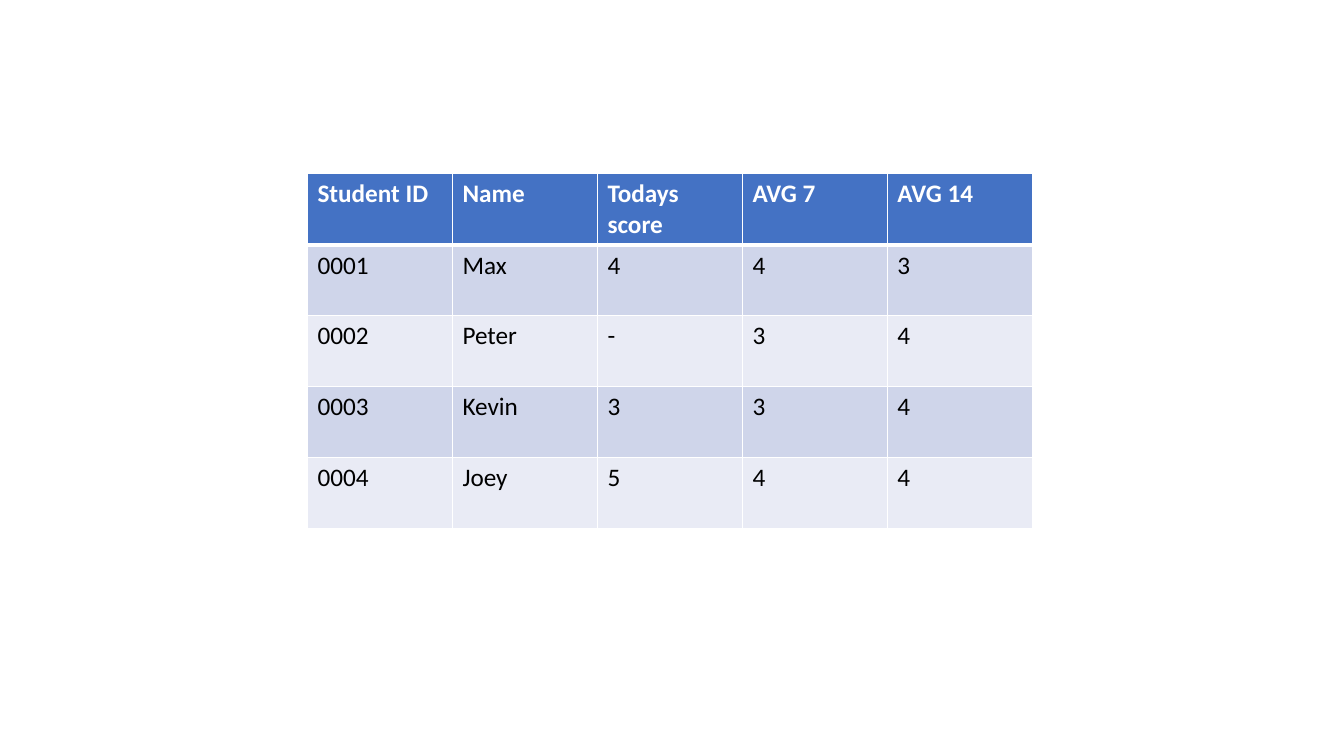
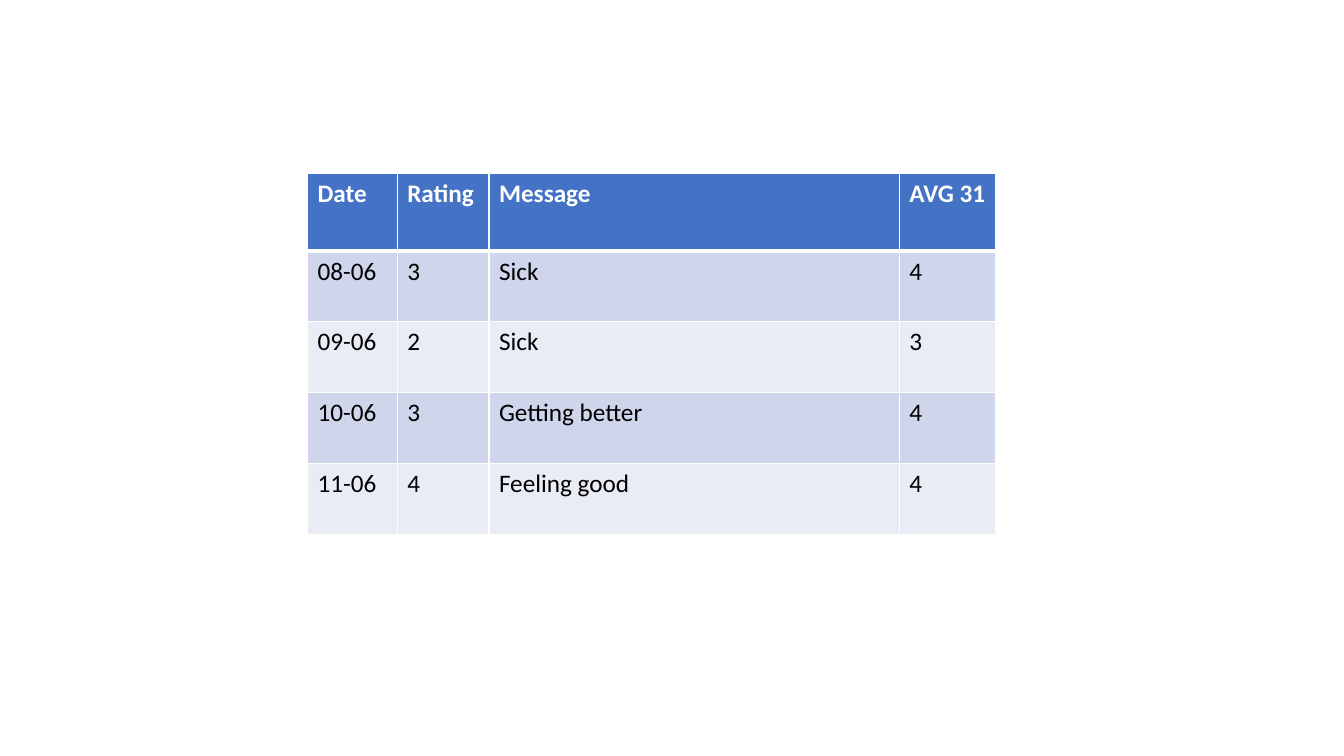
from lxml.etree import SubElement
from pptx import Presentation
from pptx.dml.color import RGBColor
from pptx.oxml.ns import qn
from pptx.util import Inches, Pt

# Shared look
FONT, TEXT_SIZE = "Calibri", 18
WHITE, BLACK, HEADER_BLUE = "FFFFFF", "000000", "4472C4"
BANDS = ("CFD5EA", "E9EBF5")
THIN, THICK = 1, 3

# Shared grid, in inches
LEFT, TOP = 3.05, 1.72
BODY_HEIGHT = 2.81

SCORES = [
    ("Student ID", "Name", "Todays score", "AVG 7", "AVG 14"),
    ("0001", "Max", "4", "4", "3"),
    ("0002", "Peter", "-", "3", "4"),
    ("0003", "Kevin", "3", "3", "4"),
    ("0004", "Joey", "5", "4", "4"),
]
RATINGS = [
    ("Date", "Rating", "Message", "AVG 31"),
    ("08-06", "3", "Sick", "4"),
    ("09-06", "2", "Sick", "3"),
    ("10-06", "3", "Getting better", "4"),
    ("11-06", "4", "Feeling good", "4"),
]


def color(hex_code):
    return RGBColor.from_string(hex_code)


def add_borders(cell, top, bottom):
    """Draw white cell edges; widths in points."""
    properties = cell._tc.get_or_add_tcPr()
    edges = {"a:lnL": THIN, "a:lnR": THIN, "a:lnT": top, "a:lnB": bottom}
    for tag, width in edges.items():
        line = SubElement(properties, qn(tag), w=str(Pt(width)))
        fill = SubElement(line, qn("a:solidFill"))
        SubElement(fill, qn("a:srgbClr"), val=WHITE)


def fill_cell(cell, text, row):
    is_header = row == 0
    # A thick rule separates header and body
    add_borders(cell, THICK if row == 1 else THIN, THICK if is_header else THIN)
    cell.fill.solid()
    band = BANDS[(row - 1) % len(BANDS)]
    cell.fill.fore_color.rgb = color(HEADER_BLUE if is_header else band)

    run = cell.text_frame.paragraphs[0].add_run()
    run.text = text
    run.font.name = FONT
    run.font.size = Pt(TEXT_SIZE)
    run.font.bold = is_header
    run.font.color.rgb = color(WHITE if is_header else BLACK)


def add_table_slide(deck, records, widths, header_height):
    slide = deck.slides.add_slide(deck.slide_layouts[6])
    body_rows = len(records) - 1
    heights = [header_height] + [BODY_HEIGHT / body_rows] * body_rows
    table = slide.shapes.add_table(
        len(records), len(widths), Inches(LEFT), Inches(TOP),
        Inches(sum(widths)), Inches(sum(heights))).table

    for column, width in zip(table.columns, widths):
        column.width = Inches(width)
    for table_row, height in zip(table.rows, heights):
        table_row.height = Inches(height)
    for row, record in enumerate(records):
        for column, text in enumerate(record):
            fill_cell(table.cell(row, column), text, row)


def main():
    deck = Presentation()
    deck.slide_width, deck.slide_height = Inches(13.33), Inches(7.5)
    # Class overview
    add_table_slide(deck, SCORES, [7.19 / 5] * 5, 0.7)
    # Daily ratings of one student
    add_table_slide(deck, RATINGS, [0.89, 0.91, 4.07, 0.96], 0.77)
    deck.save("out.pptx")


if __name__ == "__main__":
    main()
